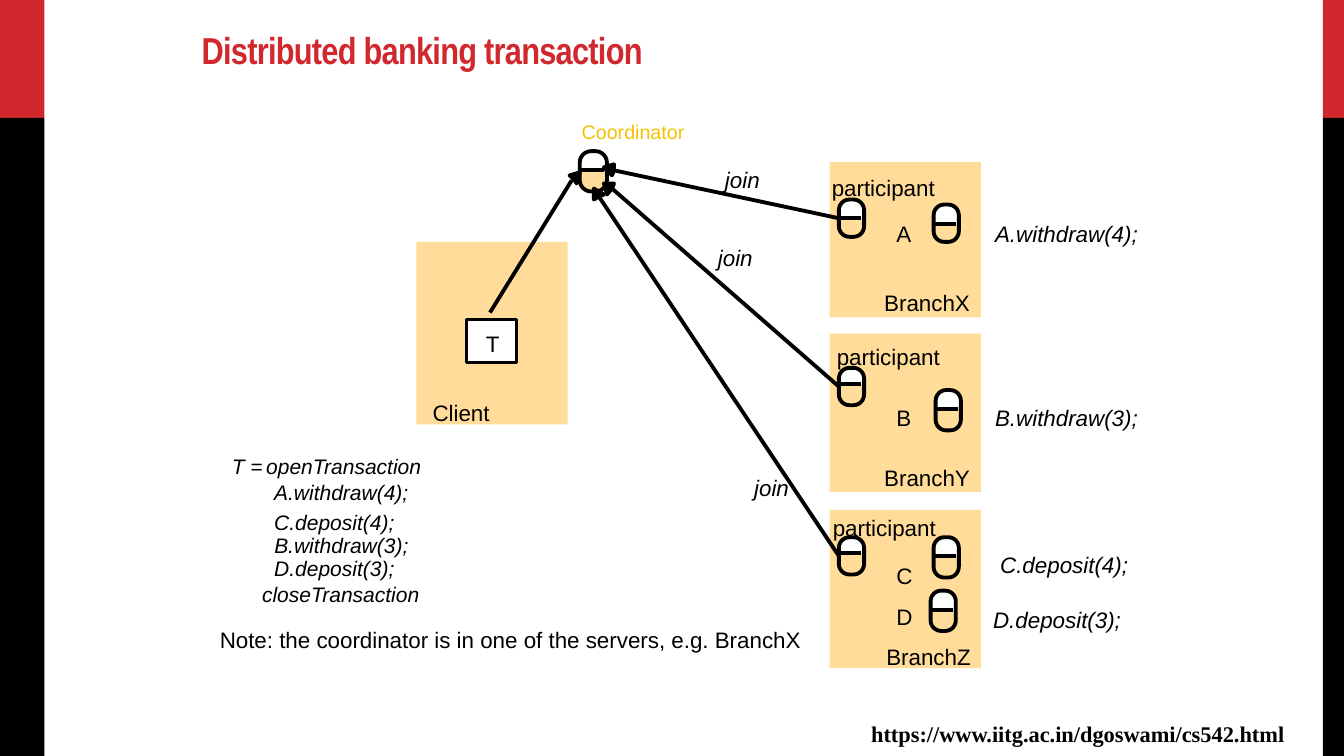
from lxml import etree
from pptx import Presentation
from pptx.dml.color import RGBColor
from pptx.enum.shapes import MSO_CONNECTOR, MSO_SHAPE
from pptx.enum.text import MSO_ANCHOR, PP_ALIGN
from pptx.oxml.ns import qn
from pptx.util import Inches, Pt

RECT = MSO_SHAPE.RECTANGLE
ROUND = MSO_SHAPE.ROUNDED_RECTANGLE
STRAIGHT = MSO_CONNECTOR.STRAIGHT
LEFT = PP_ALIGN.LEFT
BOTTOM = MSO_ANCHOR.BOTTOM

RED = RGBColor(0xD1, 0x28, 0x2E)
BLACK = RGBColor(0, 0, 0)
WHITE = RGBColor(255, 255, 255)
PEACH = RGBColor(0xFF, 0xDC, 0x99)
GOLD = RGBColor(0xF5, 0xC2, 0x01)
LINE_PT = 2.75


class Diagram:
    def __init__(self, slide, font="Arial", size=16):
        self.slide, self.font, self.size = slide, font, size
        self.shapes = slide.shapes

    def title(self, text, x, y, w, h):
        sp = self.shapes.title
        sp.left, sp.top, sp.width, sp.height = map(Inches, (x, y, w, h))
        tf = sp.text_frame
        tf.text = text
        tf.vertical_anchor = BOTTOM
        tf.word_wrap = True
        tf.margin_bottom = Inches(0.06)
        p = tf.paragraphs[0]
        p.alignment = LEFT
        p.font.name, p.font.size, p.font.bold = "Arial Narrow", Pt(26.8), True
        p.font.color.rgb = RED
        p.runs[0].font._element.set("spc", "-50")

    def style(self, sp, fill=None, line=None, width=LINE_PT):
        sp.shadow.inherit = False
        if fill is None:
            sp.fill.background()
        else:
            sp.fill.solid()
            sp.fill.fore_color.rgb = fill
        if line is None:
            sp.line.fill.background()
        else:
            sp.line.color.rgb = line
            sp.line.width = Pt(width)
        return sp

    def box(self, x, y, w, h, fill=None, line=None, width=LINE_PT, kind=RECT):
        sp = self.shapes.add_shape(kind, *map(Inches, (x, y, w, h)))
        if kind == ROUND:
            sp.adjustments[0] = 0.42
        return self.style(sp, fill, line, width)

    def line(self, x1, y1, x2, y2, start=None):
        cx = self.shapes.add_connector(STRAIGHT, *map(Inches, (x1, y1, x2, y2)))
        cx.line.color.rgb = BLACK
        cx.line.width = Pt(LINE_PT)
        etree.SubElement(cx._element.spPr, qn("a:effectLst"))
        if start is not None:
            cx.begin_connect(start, 1)

    def arrowhead(self, *points):
        corners = [(Inches(x), Inches(y)) for x, y in points]
        fb = self.shapes.build_freeform(*corners[0])
        fb.add_line_segments(corners[1:], close=True)
        self.style(fb.convert_to_shape(), BLACK, BLACK)

    def process(self, x, y, h, split, w=0.25, on_white=False):
        """Rounded symbol with a white upper and a peach lower part."""
        if on_white:
            self.box(x, y, w, h, PEACH, kind=ROUND)
            self.box(x, y, w, split, WHITE)
        else:
            self.box(x, y, w, h, WHITE, kind=ROUND)
            self.box(x, y + split, w, h - split, PEACH)
        outline = self.box(x, y, w, h, line=BLACK, kind=ROUND)
        self.line(x, y + split, x + w - 0.03, y + split)
        return outline

    def label(self, text, x, y, w, size=None, italic=False, bold=False,
              color=BLACK, font=None):
        size = size or self.size
        tb = self.shapes.add_textbox(*map(Inches, (x, y, w, size / 60)))
        tf = tb.text_frame
        tf.margin_left = tf.margin_right = tf.margin_top = tf.margin_bottom = 0
        tf.word_wrap = False
        p = tf.paragraphs[0]
        p.text = text
        p.font.name, p.font.size = font or self.font, Pt(size)
        p.font.italic, p.font.bold = italic, bold
        p.font.color.rgb = color
        return p


prs = Presentation()
prs.slide_width, prs.slide_height = Inches(13.33), Inches(7.5)
d = Diagram(prs.slides.add_slide(prs.slide_layouts[5]))

# Side bands and title
for x, w in ((13.12, 0.21), (0, 0.44)):
    d.box(x, 0, w, 1.17, RED)
    d.box(x, 1.17, w, 6.33, BLACK)
d.title("Distributed banking transaction", 1.9, 0.2, 6.77, 0.57)

# Client
d.box(4.13, 2.4, 1.5, 1.81, PEACH)
d.box(4.63, 3.17, 0.49, 0.43, WHITE, BLACK, 2.25)
d.label("T", 4.82, 3.27, 0.14)
d.label("Client", 4.29, 3.96, 0.57)

# Coordinator
d.process(5.75, 1.5, 0.4, 0.19, w=0.27, on_white=True)
d.label("Coordinator", 5.77, 1.19, 1.03, size=14, color=GOLD)

# Branches: name, top, height, name at, participant label at, participant top and split
BRANCHES = (
    ("BranchX", 1.61, 1.54, (8.77, 2.87), (8.25, 1.73), 1.98, 0.18),
    ("BranchY", 3.31, 1.57, (8.77, 4.6), (8.3, 3.4), 3.65, 0.16),
    ("BranchZ", 5.06, 1.57, (8.79, 6.38), (8.26, 5.1), 5.33, 0.16),
)
participants = []
for name, top, h, name_at, label_at, part_top, split in BRANCHES:
    d.box(8.23, top, 1.5, h, PEACH)
    participants.append(d.process(8.32, part_top, 0.37, split))
    d.label(name, *name_at, 0.85)
    d.label("participant", *label_at, 1.03)

# Accounts: name, label top, symbol (x, y, height), operation, operation at, width
ACCOUNTS = (
    ("A", 2.18, (9.26, 2.03, 0.37), "A.withdraw(4);", (9.87, 2.18), 1.43),
    ("B", 4.01, (9.28, 3.87, 0.4), "B.withdraw(3);", (9.87, 4.01), 1.44),
    ("C", 5.58, (9.26, 5.33, 0.4), "C.deposit(4);", (9.92, 5.47), 1.29),
    ("D", 5.98, (9.23, 5.86, 0.4), "D.deposit(3);", (9.85, 6.01), 1.29),
)
for name, top, symbol, operation, at, w in ACCOUNTS:
    d.process(*symbol, 0.19)
    d.label(name, 8.89, top, 0.16)
    d.label(operation, *at, w, italic=True)

# Join arrows: line start, line end, label at, arrowhead outline
JOINS = (
    ((8.32, 2.16), (6.09, 1.69), (7.19, 1.65),
     ((6.09, 1.69), (6.07, 1.74), (5.99, 1.66), (6.09, 1.63))),
    ((8.32, 3.84), (6.07, 1.87), (7.12, 2.42),
     ((6.07, 1.87), (6.02, 1.93), (5.99, 1.82), (6.09, 1.82))),
    ((8.32, 5.52), (5.94, 1.95), (7.48, 4.7),
     ((5.94, 1.95), (5.89, 1.98), (5.89, 1.87), (5.99, 1.93))),
)
for participant, (start, end, at, head) in zip(participants, JOINS):
    d.arrowhead(*head)
    d.line(*start, *end, start=participant)
    d.label("join", *at, 0.35, italic=True)

# Client arrow
d.arrowhead((5.7, 1.79), (5.65, 1.74), (5.75, 1.71), (5.72, 1.82))
d.line(4.86, 3.1, 5.67, 1.79)

# Transaction code
p = d.label("T ", 2.3, 4.5, 0.37, size=15, italic=True)
r = p.add_run()
r.text = "="
r.font.italic = False
CODE = (
    ("openTransaction", 2.64, 4.5, 1.55),
    ("A.withdraw(4);", 2.72, 4.76, 1.4),
    ("C.deposit(4);", 2.72, 5.05, 1.2),
    ("B.withdraw(3);", 2.72, 5.28, 1.41),
    ("D.deposit(3);", 2.72, 5.51, 1.2),
    ("closeTransaction", 2.6, 5.77, 1.57),
)
for step in CODE:
    d.label(*step, size=15, italic=True)

# Note and source
d.label("Note: the coordinator is in one of the servers, e.g. BranchX", 2.18, 6.21, 5.77)
d.label("https://www.iitg.ac.in/dgoswami/cs542.html", 8.64, 7.14, 4.16,
        bold=True, font="Times New Roman")

prs.save("out.pptx")
